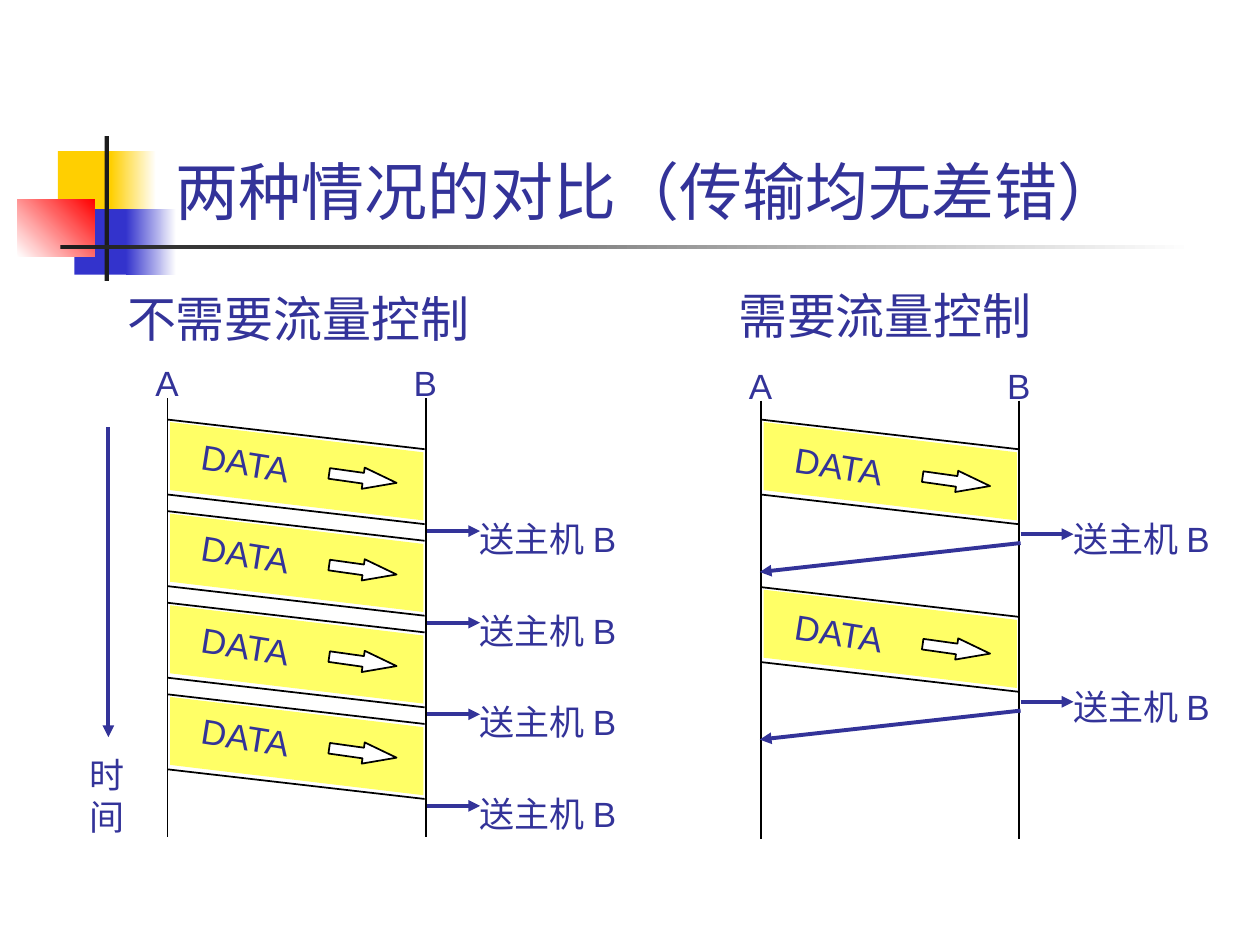
from lxml.etree import SubElement
from pptx import Presentation
from pptx.dml.color import RGBColor
from pptx.enum.shapes import MSO_CONNECTOR, MSO_SHAPE
from pptx.enum.text import MSO_ANCHOR, MSO_AUTO_SIZE, PP_ALIGN
from pptx.oxml.ns import qn
from pptx.util import Inches, Pt

COLS, ROWS = 100, 75
INK, BLACK, WHITE, PALE = "333399", "000000", "FFFFFF", "FFFF66"
GOLD, BLUE, RED, DARK = "FFCF01", "3333CC", "FF0000", "1C1C1C"


def color(code):
    return RGBColor.from_string(code)


def apply(target, values):
    for name, value in values.items():
        setattr(target, name, value)


class Board:
    """Style and current slide; lengths are grid columns and rows."""

    def __init__(self, deck):
        self.col = deck.slide_width / COLS
        self.row = deck.slide_height / ROWS
        self.slide = deck.slides.add_slide(deck.slide_layouts[5])
        self.shapes = self.slide.shapes
        self.frame = {"word_wrap": False, "auto_size": MSO_AUTO_SIZE.SHAPE_TO_FIT_TEXT,
                      "margin_left": Inches(0.1), "margin_right": Inches(0.1),
                      "margin_top": Inches(0.05), "margin_bottom": Inches(0.05)}

    def place(self, x, y):
        return round(x * self.col), round(y * self.row)

    def letter(self, frame, text, size, font):
        frame.text = text
        for para in frame.paragraphs:
            for run in para.runs:
                apply(run.font, {"size": Pt(size), "name": font})
                run.font.color.rgb = color(INK)

    def title(self, text, x, y, w, h):
        shape = self.shapes.title
        left, top = self.place(x, y)
        wide, high = self.place(w, h)
        apply(shape, {"left": left, "top": top, "width": wide, "height": high})
        frame = shape.text_frame
        self.letter(frame, text, 36, "Arial")
        apply(frame, {**self.frame, "word_wrap": True, "auto_size": MSO_AUTO_SIZE.NONE,
                      "vertical_anchor": MSO_ANCHOR.BOTTOM})
        frame.paragraphs[0].alignment = PP_ALIGN.CENTER

    def text(self, text, x, y, w, h, size=20, font="Arial", turn=0):
        box = self.shapes.add_textbox(*self.place(x, y), *self.place(w, h))
        box.rotation = turn
        apply(box.text_frame, self.frame)
        self.letter(box.text_frame, text, size, font)

    def block(self, x, y, w, h, fill, end=None, angle=0):
        shape = self.shapes.add_shape(MSO_SHAPE.RECTANGLE, *self.place(x, y), *self.place(w, h))
        shape.shadow.inherit = False
        shape.line.fill.background()
        if end:
            shape.fill.gradient()
            shape.fill.gradient_angle = angle
            for stop, code in zip(shape.fill.gradient_stops, (fill, end)):
                stop.color.rgb = color(code)
        else:
            shape.fill.solid()
            shape.fill.fore_color.rgb = color(fill)

    def line(self, x, y, x2, y2, ink=BLACK, width=1, head=False):
        link = self.shapes.add_connector(MSO_CONNECTOR.STRAIGHT,
                                         *self.place(x, y), *self.place(x2, y2))
        link.line.color.rgb = color(ink)
        link.line.width = Pt(width)
        form = link._element.spPr
        if head:
            SubElement(form.get_or_add_ln(), qn("a:tailEnd"), type="triangle")
        SubElement(form, qn("a:effectLst"))

    def arrow(self, x, y, x2, y2):
        self.line(x, y, x2, y2, INK, 2.25, True)

    def fat(self, x, y, w, h):
        shape = self.shapes.add_shape(MSO_SHAPE.RIGHT_ARROW, *self.place(x, y), *self.place(w, h))
        shape.shadow.inherit = False
        shape.rotation = 8
        shape.adjustments[0], shape.adjustments[1] = 0.5, 1.57
        shape.fill.solid()
        shape.fill.fore_color.rgb = color(WHITE)
        shape.line.color.rgb = color(BLACK)
        shape.line.width = Pt(1)

    def patch(self, points, fill):
        start, *rest = [self.place(*point) for point in points]
        pen = self.shapes.build_freeform(*start)
        pen.add_line_segments(rest)
        shape = pen.convert_to_shape()
        shape.shadow.inherit = False
        shape.fill.solid()
        shape.fill.fore_color.rgb = color(fill)
        shape.line.fill.background()

    def data(self, x, y, shift):
        """One slanted data frame and its hand-over to host B."""
        for gap in (0, 5.95):
            self.line(x, y + gap, x + 20.4, y + gap + 2.35)
        self.patch([(x + 0.2, y + 0.2), (x + 20.3, y + 2.6),
                    (x + 20.3, y + 8), (x + 0.2, y + 5.6)], PALE)
        self.fat(x + 12.8, y + 3.8 + shift, 5.4, 1.7)
        self.text("DATA", x + 1.7, y + 1.25 + shift, 9.4, 4.3, turn=9)
        self.arrow(x + 20.6, y + 8.85 + shift, x + 24.8, y + 8.85 + shift)
        self.text("送主机 B", x + 23.8, y + 7.3, 14.2, 4.3)

    def chart(self, x, top, starts, shift=0, reply=False):
        """Time lines of hosts A and B with the frames between them."""
        for name, side in (("A", x), ("B", x + 20.5)):
            self.line(side, top, side, top + 34.8)
            self.text(name, side - 1.95, top - 3.4, 3.8, 4.3)
        for y in starts:
            self.data(x, y, shift)
            if reply:
                self.arrow(x + 20.6, y + 9.8, x - 0.1, y + 12.1)


def main():
    deck = Presentation()
    deck.slide_width, deck.slide_height = Inches(10), Inches(7.5)
    board = Board(deck)

    # Corner ornament and rule
    board.block(4.6, 12, 4.8, 5.2, GOLD)
    board.block(8.8, 12, 3.6, 5.2, GOLD, WHITE)
    board.block(5.9, 16.6, 4.6, 5.2, BLUE)
    board.block(10, 16.6, 4, 5.2, BLUE, WHITE)
    board.block(1.4, 15.8, 6.1, 4.6, WHITE, RED, 45)
    board.block(8.3, 10.8, 0.35, 11.5, DARK)
    board.block(4.8, 19.45, 90, 0.35, DARK, WHITE)

    # Headings
    board.title("两种情况的对比（传输均无差错）", 12, 10.2, 78.9, 8.4)
    board.text("不需要流量控制", 9.1, 22.4, 29.2, 5.7, 28, "Lato")
    board.text("需要流量控制", 57.6, 22.2, 25.3, 5.7, 28, "Lato")

    # Time axis
    board.arrow(8.6, 33.9, 8.6, 58.5)
    board.text("时\n间", 6.1, 59.3, 4.8, 7.6)

    # Both cases
    board.chart(13.3, 31.6, [33.3 + 7.27 * i for i in range(4)])
    board.chart(60.4, 31.8, [33.3 + 13.3 * i for i in range(2)], 0.25, True)

    deck.save("out.pptx")


if __name__ == "__main__":
    main()
